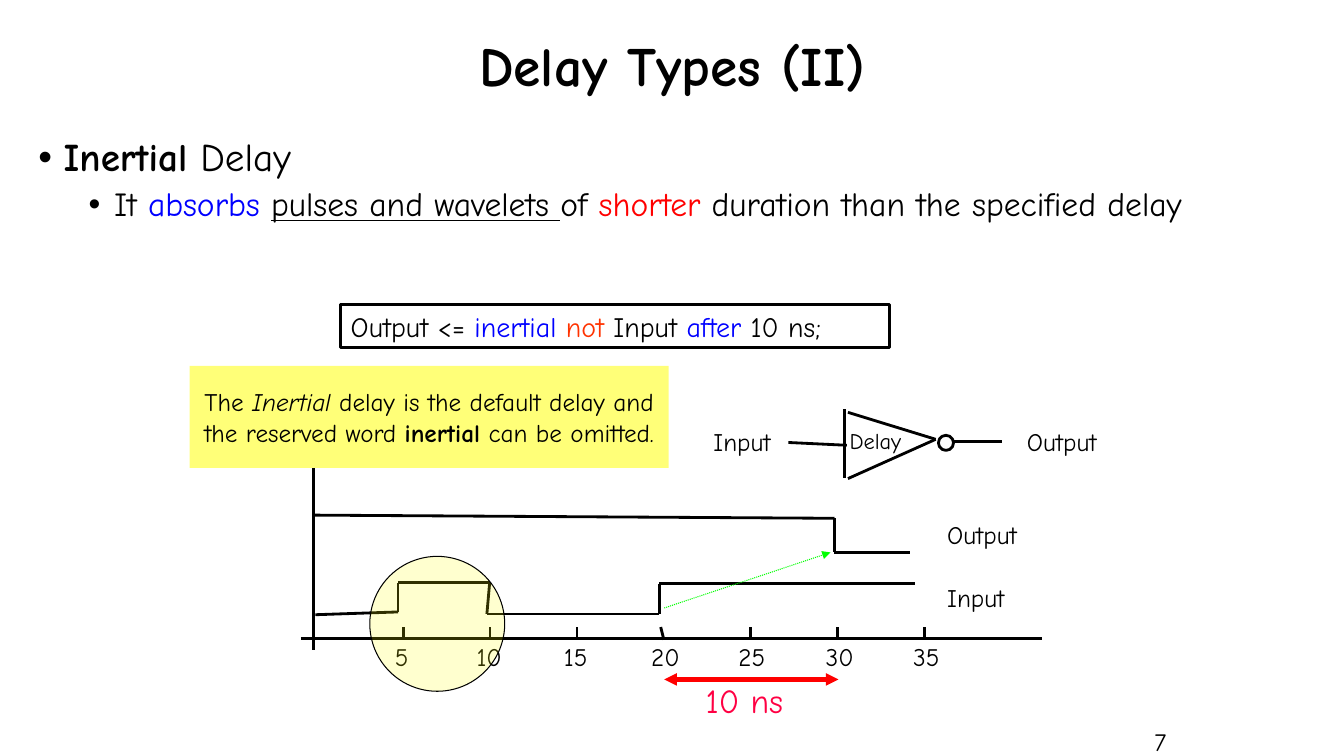
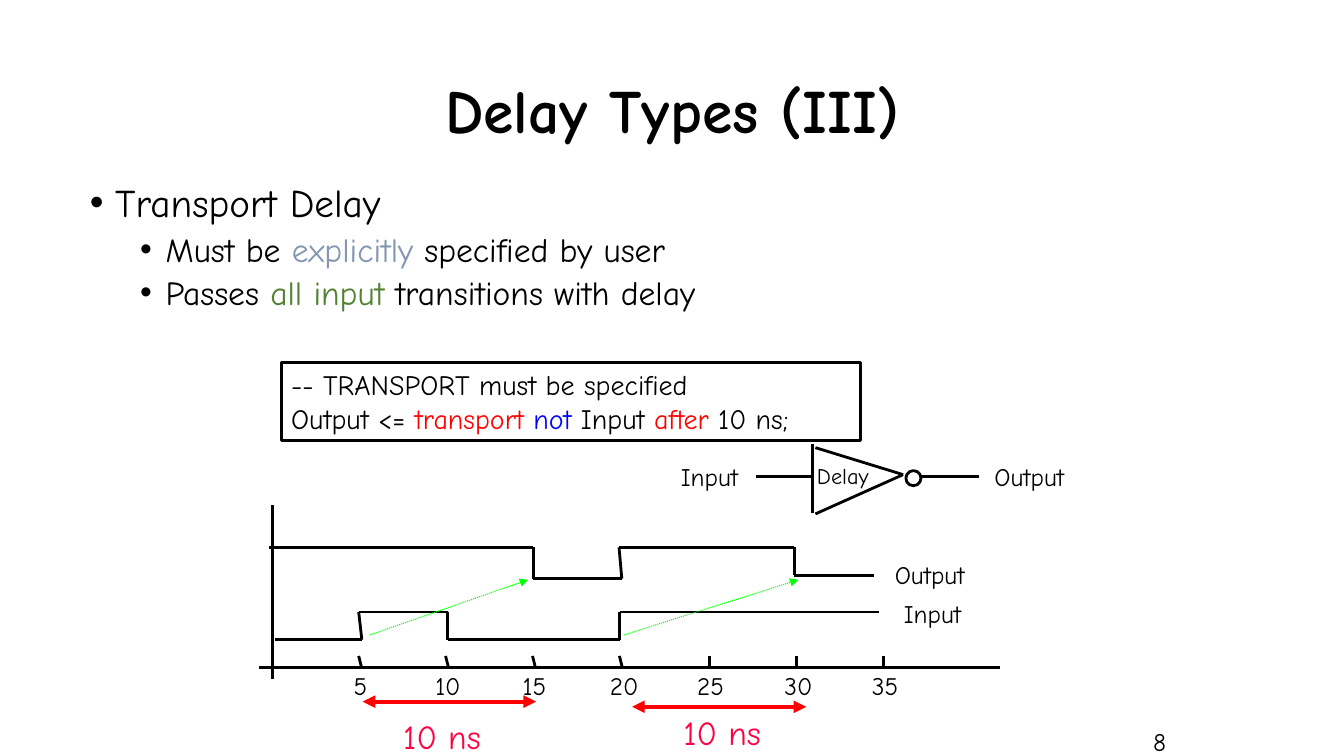
from dataclasses import dataclass
from itertools import pairwise
from typing import NamedTuple

from lxml.etree import SubElement
from pptx import Presentation
from pptx.dml.color import RGBColor
from pptx.enum.dml import MSO_LINE
from pptx.enum.shapes import MSO_CONNECTOR, MSO_SHAPE
from pptx.enum.text import MSO_ANCHOR, MSO_AUTO_SIZE, PP_ALIGN
from pptx.oxml.ns import qn
from pptx.util import Cm, Pt

# Shared style
FONT = "Comic Neue"
BLACK, BLUE, RED, ORANGE = "000000", "0000FF", "FF0000", "FF3300"
GREEN, PINK, YELLOW = "00FF00", "FF0043", "FFFF00"
SLATE, LEAF = "8497B0", "548235"
TICK_STEP, LABEL_STEP = 2.19, 2.2
TIMES = range(5, 40, 5)

Point = tuple[float, float]
Box = tuple[float, float, float, float]


class Run(NamedTuple):
    text: str
    color: str = BLACK
    bold: bool = False
    italic: bool = False
    underline: bool = False


Line = tuple[Run, ...]


class Bullet(NamedTuple):
    level: int
    runs: Line


@dataclass(frozen=True)
class Gate:
    x: float
    y: float
    wire_in: Point    # heights at the label and at the triangle
    wire_end: float


@dataclass(frozen=True)
class Span:
    x1: float
    x2: float
    y: float
    label: Point


@dataclass(frozen=True)
class Timing:
    first_tick: float
    axis_y: float
    axis_top: float
    slanted: tuple[int, ...]
    output: tuple[Point, ...]
    input: tuple[Point, ...]
    output_label: Point
    input_label: Point
    causes: tuple[tuple[Point, Point], ...]
    spans: tuple[Span, ...]


@dataclass(frozen=True)
class Page:
    number: str
    title: str
    title_size: float
    title_height: float
    body_box: Box
    bullets: tuple[Bullet, ...]
    code_box: Box
    code: tuple[Line, ...]
    gate: Gate
    timing: Timing


def rgb(color: str) -> RGBColor:
    return RGBColor.from_string(color)


# Text
def add_runs(p, runs: Line, size: float) -> None:
    for run in runs:
        r = p.add_run()
        r.text = run.text
        r.font.name, r.font.size = FONT, Pt(size)
        r.font.bold, r.font.italic = run.bold, run.italic
        r.font.underline = run.underline
        r.font.color.rgb = rgb(run.color)


def write(shape, lines: tuple[Line, ...], size: float,
          align=PP_ALIGN.LEFT, anchor=MSO_ANCHOR.TOP) -> None:
    tf = shape.text_frame
    tf.word_wrap, tf.auto_size = True, MSO_AUTO_SIZE.NONE
    tf.vertical_anchor = anchor
    for i, runs in enumerate(lines):
        p = tf.add_paragraph() if i else tf.paragraphs[0]
        p.alignment = align
        add_runs(p, runs, size)


def add_label(s, box: Box, text: str, size: float = 18, color: str = BLACK,
              align=PP_ALIGN.LEFT, anchor=MSO_ANCHOR.TOP) -> None:
    tb = s.shapes.add_textbox(*map(Cm, box))
    write(tb, ((Run(text, color),),), size, align, anchor)


def place(shape, box: Box) -> None:
    shape.left, shape.top, shape.width, shape.height = map(Cm, box)


def add_bullets(body, bullets: tuple[Bullet, ...]) -> None:
    tf = body.text_frame
    tf.auto_size = MSO_AUTO_SIZE.NONE
    for i, bullet in enumerate(bullets):
        p = tf.add_paragraph() if i else tf.paragraphs[0]
        p.level, p.line_spacing = bullet.level, 0.9
        p.space_before = Pt(5 if bullet.level else 10)
        pPr = p._p.get_or_add_pPr()
        pPr.set("marL", str(Cm(0.64 + 1.27 * bullet.level)))
        pPr.set("indent", str(Cm(-0.64)))
        SubElement(pPr, qn("a:buFont")).set("typeface", "Arial")
        SubElement(pPr, qn("a:buChar")).set("char", "\u2022")
        add_runs(p, bullet.runs, 24 if bullet.level else 28)


# Shapes and lines
def add_figure(s, kind, box: Box, fill: str = "", alpha: int = 100,
               line_width: float = 0):
    shape = s.shapes.add_shape(kind, *map(Cm, box))
    shape.shadow.inherit = False
    if fill:
        shape.fill.solid()
        shape.fill.fore_color.rgb = rgb(fill)
        clr = shape.element.spPr.find(f"{qn('a:solidFill')}/{qn('a:srgbClr')}")
        SubElement(clr, qn("a:alpha")).set("val", str(alpha * 1000))
    else:
        shape.fill.background()
    if line_width:
        shape.line.color.rgb = rgb(BLACK)
        shape.line.width = Pt(line_width)
    else:
        shape.line.fill.background()
    return shape


def add_line(s, start: Point, end: Point, color: str = BLACK, width: float = 2,
             dash=None, ends: tuple[str, ...] = ()) -> None:
    c = s.shapes.add_connector(MSO_CONNECTOR.STRAIGHT, *map(Cm, start + end))
    c.line.color.rgb, c.line.width = rgb(color), Pt(width)
    if dash is not None:
        c.line.dash_style = dash
    spPr = c.element.spPr
    for end_tag in ends:
        SubElement(spPr.find(qn("a:ln")), qn(end_tag)).set("type", "triangle")
    SubElement(spPr, qn("a:effectLst"))


# Inverter with its wires
def draw_gate(s, gate: Gate) -> None:
    x, y = gate.x, gate.y
    tip = (x + 2.29, y + 0.76)
    near, far = y + gate.wire_in[1], y + gate.wire_in[0]
    add_label(s, (x - 0.13, y + 0.33, 1.98, 0.94), "Delay", 16)
    add_line(s, (x + 0.08, y + 0.08), tip)
    add_line(s, (x + 0.08, y + 1.75), tip)
    add_line(s, (x, y), (x, y + 1.73))
    add_figure(s, MSO_SHAPE.OVAL, (x + 2.36, y + 0.66, 0.38, 0.38), line_width=2)
    add_line(s, (x + 0.05, near), (x - 1.42, far))
    add_line(s, (gate.wire_end, y + 0.81), (x + 2.71, y + 0.81))
    add_label(s, (x - 3.56, y + 0.3, 2.18, 1.02), "Input")
    add_label(s, (x + 4.34, y + 0.3, 2.64, 1.02), "Output")


# Timing diagram
def draw_axes(s, t: Timing) -> None:
    x, y = t.first_tick, t.axis_y
    add_line(s, (x - 2.26, t.axis_top), (x - 2.26, y + 0.3))
    add_line(s, (x - 2.58, y), (x + 16.09, y))
    for i, time in enumerate(TIMES):
        tick = x + i * TICK_STEP
        lean = 0.08 if time in t.slanted else 0
        add_line(s, (tick, y + 0.04), (tick - lean, y - 0.28))
        shift = 0.14 if time < 10 else 0
        left = x - 0.6 + shift + i * LABEL_STEP
        add_label(s, (left, y - 0.04, 1.3, 1.02), str(time))


def draw_signals(s, t: Timing) -> None:
    for wave in (t.output, t.input):
        for start, end in pairwise(wave):
            add_line(s, start, end)
    add_label(s, (*t.output_label, 2.64, 1.02), "Output")
    add_label(s, (*t.input_label, 2.18, 1.02), "Input")


def draw_delays(s, t: Timing) -> None:
    for start, end in t.causes:
        add_line(s, start, end, GREEN, 0.75, MSO_LINE.ROUND_DOT, ("a:tailEnd",))
    for span in t.spans:
        add_line(s, (span.x1, span.y), (span.x2, span.y), RED, 3,
                 ends=("a:headEnd", "a:tailEnd"))
        add_label(s, (*span.label, 2.62, 1.3), "10 ns", 24, PINK, PP_ALIGN.CENTER)


def draw_absorbed_pulse(s) -> None:
    add_figure(s, MSO_SHAPE.OVAL, (9.32, 14.02, 3.4, 3.4), YELLOW, 19, 0.75)


def draw_default_note(s) -> None:
    note = add_figure(s, MSO_SHAPE.RECTANGLE, (4.78, 9.22, 12.07, 2.57), YELLOW, 53)
    runs = (Run("The "), Run("Inertial ", italic=True),
            Run("delay is the default delay and the reserved word "),
            Run("inertial", bold=True), Run(" can be omitted."))
    write(note, (runs,), 18, PP_ALIGN.CENTER, MSO_ANCHOR.MIDDLE)


def build_page(prs, page: Page):
    s = prs.slides.add_slide(prs.slide_layouts[1])
    title, body = s.shapes.title, s.placeholders[1]
    place(title, (2.34, 1.02, 29.21, page.title_height))
    write(title, ((Run(page.title, bold=True),),), page.title_size,
          PP_ALIGN.CENTER, MSO_ANCHOR.MIDDLE)
    title.text_frame.paragraphs[0].line_spacing = 0.9
    place(body, page.body_box)
    add_bullets(body, page.bullets)
    add_label(s, (27.2, 18.34, 2.44, 0.71), page.number,
              align=PP_ALIGN.RIGHT, anchor=MSO_ANCHOR.MIDDLE)
    code = add_figure(s, MSO_SHAPE.RECTANGLE, page.code_box, line_width=2)
    write(code, page.code, 20)
    draw_gate(s, page.gate)
    draw_axes(s, page.timing)
    draw_signals(s, page.timing)
    draw_delays(s, page.timing)
    return s


# Content
INERTIAL = Page(
    "7", "Delay Types (II)", 39.6, 1.42, (0.71, 3.35, 33.55, 12.57),
    (Bullet(0, (Run("Inertial", bold=True), Run(" Delay"))),
     Bullet(1, (Run("It "), Run("absorbs ", BLUE),
                Run("pulses and wavelets ", underline=True), Run("of "),
                Run("shorter", RED),
                Run(" duration than the specified delay")))),
    (8.59, 7.67, 13.82, 1.09),
    ((Run("Output <= "), Run("inertial ", BLUE), Run("not", ORANGE),
      Run(" Input "), Run("after", BLUE), Run(" 10 ns;")),),
    Gate(21.29, 10.31, (0.84, 0.91), 25.25),
    Timing(
        10.16, 16.08, 11.79, (20,),
        ((7.87, 12.98), (21.03, 13.06), (21.03, 13.92), (22.94, 13.92)),
        ((7.95, 15.49), (10.03, 15.42), (10.03, 14.68), (12.34, 14.68),
         (12.27, 15.47), (16.61, 15.47), (16.61, 14.71), (23.06, 14.71)),
        (23.62, 12.95), (23.62, 14.55),
        (((16.74, 15.32), (20.93, 13.92)),),
        (Span(16.74, 21.13, 17.12, (17.45, 17.02)),)))

TRANSPORT = Page(
    "8", "Delay Types (III)", 44, 3.68, (2.01, 4.5, 29.21, 12.09),
    (Bullet(0, (Run("Transport Delay"),)),
     Bullet(1, (Run("Must be "), Run("explicitly", SLATE),
                Run(" specified by user"))),
     Bullet(1, (Run("Passes "), Run("all input ", LEAF),
                Run("transitions with delay")))),
    (7.09, 9.14, 14.6, 1.96),
    ((Run("-- TRANSPORT must be specified"),),
     (Run("Output <= "), Run("transport ", RED), Run("not ", BLUE),
      Run("Input "), Run("after", RED), Run(" 10 ns;"))),
    Gate(20.47, 11.2, (0.81, 0.81), 24.66),
    Timing(
        9.12, 16.81, 12.73, (5, 10, 15, 20),
        ((6.78, 13.79), (13.44, 13.79), (13.44, 14.58), (15.67, 14.58),
         (15.6, 13.79), (20.02, 13.79), (20.02, 14.5), (22.02, 14.5)),
        ((6.93, 16.12), (9.12, 16.12), (9.04, 15.42), (11.28, 15.42),
         (11.28, 16.12), (15.62, 16.12), (15.62, 15.42), (22.15, 15.42)),
        (22.3, 13.97), (22.53, 14.96),
        (((9.32, 16), (13.31, 14.61)), ((15.72, 16), (20.12, 14.61))),
        (Span(9.14, 13.51, 17.68, (9.83, 17.91)),
         Span(15.93, 20.32, 17.81, (16.89, 17.81)))))

prs = Presentation()
prs.slide_width, prs.slide_height = Cm(33.87), Cm(19.05)
s = build_page(prs, INERTIAL)
draw_absorbed_pulse(s)
draw_default_note(s)
build_page(prs, TRANSPORT)
prs.save("out.pptx")
